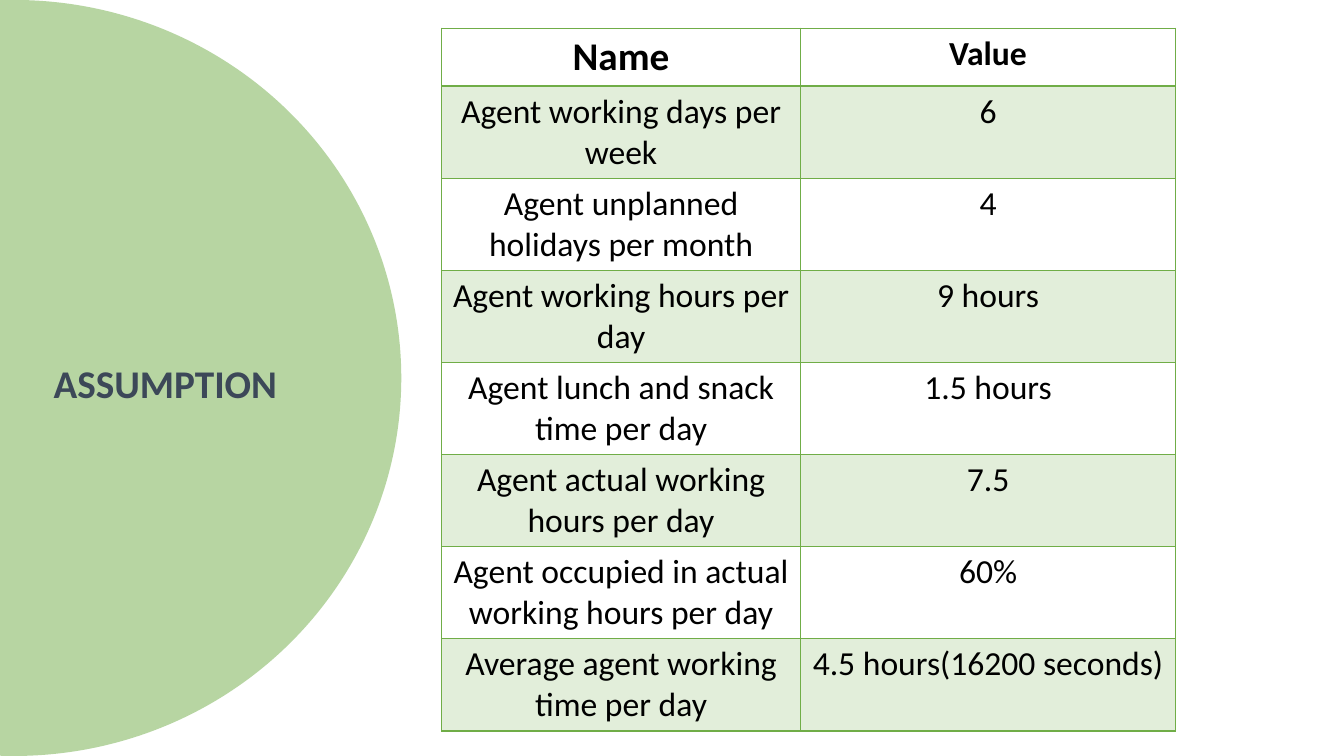
"""Build the slide that lists the agent working-time assumptions."""
from dataclasses import dataclass

from lxml.etree import SubElement
from pptx import Presentation
from pptx.dml.color import RGBColor as RGB
from pptx.enum.shapes import MSO_SHAPE as SHAPE
from pptx.enum.text import MSO_ANCHOR as ANCHOR, PP_ALIGN as ALIGN
from pptx.oxml import parse_xml
from pptx.oxml.ns import nsdecls, qn
from pptx.util import Inches, Pt


@dataclass(frozen=True)
class Theme:
    font: str = "Calibri"
    green: str = "70AD47"
    slate: str = "3C4858"
    black: str = "000000"
    big: int = 28
    body: int = 24


theme = Theme()


def tint(fill, holder, alpha):
    fill.solid()
    fill.fore_color.rgb = RGB.from_string(theme.green)
    color = holder.find(qn("a:solidFill")).find(qn("a:srgbClr"))
    SubElement(color, qn("a:alpha"), val=str(alpha * 1000))


def style(frame, size, color, bold):
    para = frame.paragraphs[0]
    para.alignment = ALIGN.CENTER
    font = para.runs[0].font
    font.name, font.size, font.bold = theme.font, Pt(size), bold
    font.color.rgb = RGB.from_string(color)


deck = Presentation()
deck.slide_width, deck.slide_height = Inches(13.33), Inches(7.5)
slide = deck.slides.add_slide(deck.slide_layouts[5])

disc = slide.shapes.add_shape(
    SHAPE.OVAL, Inches(-3.7), Inches(0), Inches(7.68), Inches(7.5))
disc.shadow.inherit = False
disc.line.fill.background()
tint(disc.fill, disc.element.spPr, 50)

title = slide.shapes.title
title.left, title.top = Inches(0.14), Inches(3.4)
title.width, title.height = Inches(3), Inches(0.8)
title.text_frame.text = "ASSUMPTION"
title.text_frame.vertical_anchor = ANCHOR.MIDDLE
style(title.text_frame, theme.big, theme.slate, True)
disc.element.addnext(title.element)

rows = [
    ("Name", "Value"),
    ("Agent working days per week", "6"),
    ("Agent unplanned holidays per month", "4"),
    ("Agent working hours per day", "9 hours"),
    ("Agent lunch and snack time per day", "1.5 hours"),
    ("Agent actual working hours per day", "7.5"),
    ("Agent occupied in actual working hours per day", "60%"),
    ("Average agent working time per day", "4.5 hours(16200 seconds)"),
]
grid = slide.shapes.add_table(
    len(rows), 2, Inches(4.38), Inches(0.28), Inches(7.28), Inches(6.87)).table
grid.horz_banding = False
grid.columns[0].width, grid.columns[1].width = Inches(3.56), Inches(3.72)

for r, row in enumerate(rows):
    head = r == 0
    grid.rows[r].height = Inches(0.54 if head else 0.77)
    for c, text in enumerate(row):
        cell = grid.cell(r, c)
        cell.text_frame.text = text
        size = theme.big if head and c == 0 else theme.body
        style(cell.text_frame, size, theme.black, head)
        props = cell._tc.get_or_add_tcPr()
        if r % 2:
            tint(cell.fill, props, 20)
        else:
            cell.fill.background()
        for i, side in enumerate("LRTB"):
            thick = (r, side) in ((0, "B"), (1, "T"))
            props.insert(i, parse_xml(
                f'<a:ln{side} {nsdecls("a")} w="{Pt(2 if thick else 1)}">'
                f'<a:solidFill><a:srgbClr val="{theme.green}"/></a:solidFill>'
                f'</a:ln{side}>'))

deck.save("out.pptx")
